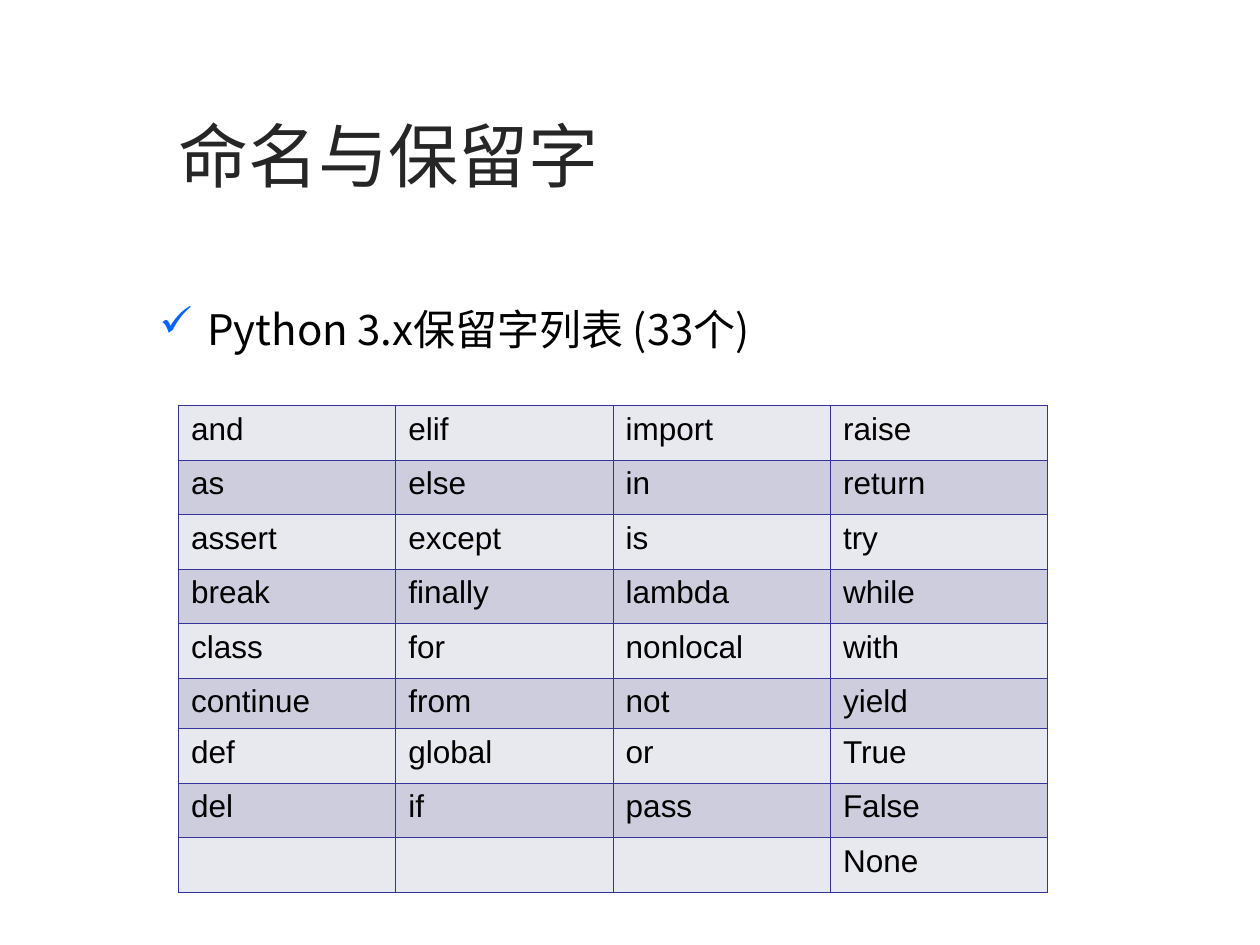
from pptx import Presentation
from pptx.dml.color import RGBColor
from pptx.enum.text import MSO_ANCHOR, PP_ALIGN
from pptx.oxml import parse_xml
from pptx.oxml.ns import nsdecls
from pptx.util import Pt

COLORS = {
    "title": "262626",
    "shadow": "C0C0C0",
    "text": "000000",
    "check": "0066FF",
    "border": "333399",
    "light": "E8E8EF",
    "dark": "CDCDDE",
}
HEADING_FONT = "Noto Sans CJK SC"
TABLE_FONT = "Arial"

KEYWORD_COLUMNS = [
    "and as assert break class continue def del".split(),
    "elif else except finally for from global if".split(),
    "import in is lambda nonlocal not or pass".split(),
    "raise return try while with yield True False None".split(),
]
ROW_HEIGHTS = [31.16] * 5 + [28.6] + [31.16] * 3


def xml(tag, attributes="", content=""):
    return parse_xml(f'<a:{tag} {nsdecls("a")} {attributes}>{content}</a:{tag}>')


def color_xml(name):
    return f'<a:srgbClr val="{COLORS[name]}"/>'


def style_font(para, name, size, color):
    para.font.name = name
    para.font.size = Pt(size)
    para.font.color.rgb = RGBColor.from_string(COLORS[color])


def add_text_box(page, left, top, width, height, text, wrap):
    """Add a one-paragraph text box and return its paragraph and run properties."""
    box = page.shapes.add_textbox(Pt(left), Pt(top), Pt(width), Pt(height))
    frame = box.text_frame
    frame.word_wrap = wrap
    frame.vertical_anchor = MSO_ANCHOR.TOP
    para = frame.paragraphs[0]
    span = para.add_run()
    span.text = text
    span_format = span._r.get_or_add_rPr()
    span_format.append(xml("ea", f'typeface="{HEADING_FONT}"'))
    return para, span_format


def add_title(page, left, top, width, height):
    para, span_format = add_text_box(page, left, top, width, height, "命名与保留字", False)
    style_font(para, HEADING_FONT, 40, "title")
    shadow = f'<a:outerShdw dist="38100" dir="2700000">{color_xml("shadow")}</a:outerShdw>'
    span_format.insert(0, xml("effectLst", content=shadow))


def add_check_item(page, left, top, width, height):
    para, _ = add_text_box(page, left, top, width, height,
                           "Python 3.x保留字列表 (33个)", True)
    para.level = 1
    layout = para._p.get_or_add_pPr()
    layout.set("marL", str(Pt(63.36)))
    layout.set("indent", str(Pt(-27.36)))
    layout.append(xml("buClr", content=color_xml("check")))
    layout.append(xml("buChar", 'char="✓"'))
    para.alignment = PP_ALIGN.JUSTIFY
    para.line_spacing = 1.5
    style_font(para, HEADING_FONT, 24, "text")


def style_cell(cell, fill):
    cell.fill.solid()
    cell.fill.fore_color.rgb = RGBColor.from_string(COLORS[fill])
    line = f'<a:solidFill>{color_xml("border")}</a:solidFill>'
    for place, side in enumerate(("lnL", "lnR", "lnT", "lnB")):
        border = xml(side, f'w="{Pt(0.45)}"', line)
        cell._tc.get_or_add_tcPr().insert(place, border)


def add_keyword_table(page, left, top, width):
    column_count = len(KEYWORD_COLUMNS)
    table = page.shapes.add_table(len(ROW_HEIGHTS), column_count, Pt(left), Pt(top),
                                  Pt(width), Pt(sum(ROW_HEIGHTS))).table
    table.first_row = table.horz_banding = False
    for row, height in zip(table.rows, ROW_HEIGHTS):
        row.height = Pt(height)
    for column_index, words in enumerate(KEYWORD_COLUMNS):
        table.columns[column_index].width = Pt(width / column_count)
        for row_index in range(len(ROW_HEIGHTS)):
            cell = table.cell(row_index, column_index)
            style_cell(cell, "dark" if row_index % 2 else "light")
            if row_index < len(words):
                cell.text = words[row_index]
                style_font(cell.text_frame.paragraphs[0], TABLE_FONT, 18, "text")


def main():
    deck = Presentation()
    deck.slide_width, deck.slide_height = Pt(720), Pt(540)
    page = deck.slides.add_slide(deck.slide_layouts[6])
    add_title(page, 95, 60.5, 254.4, 103.7)
    add_check_item(page, 48, 155.5, 635, 50.4)
    add_keyword_table(page, 102, 231.7, 496.8)
    deck.save("out.pptx")


if __name__ == "__main__":
    main()
